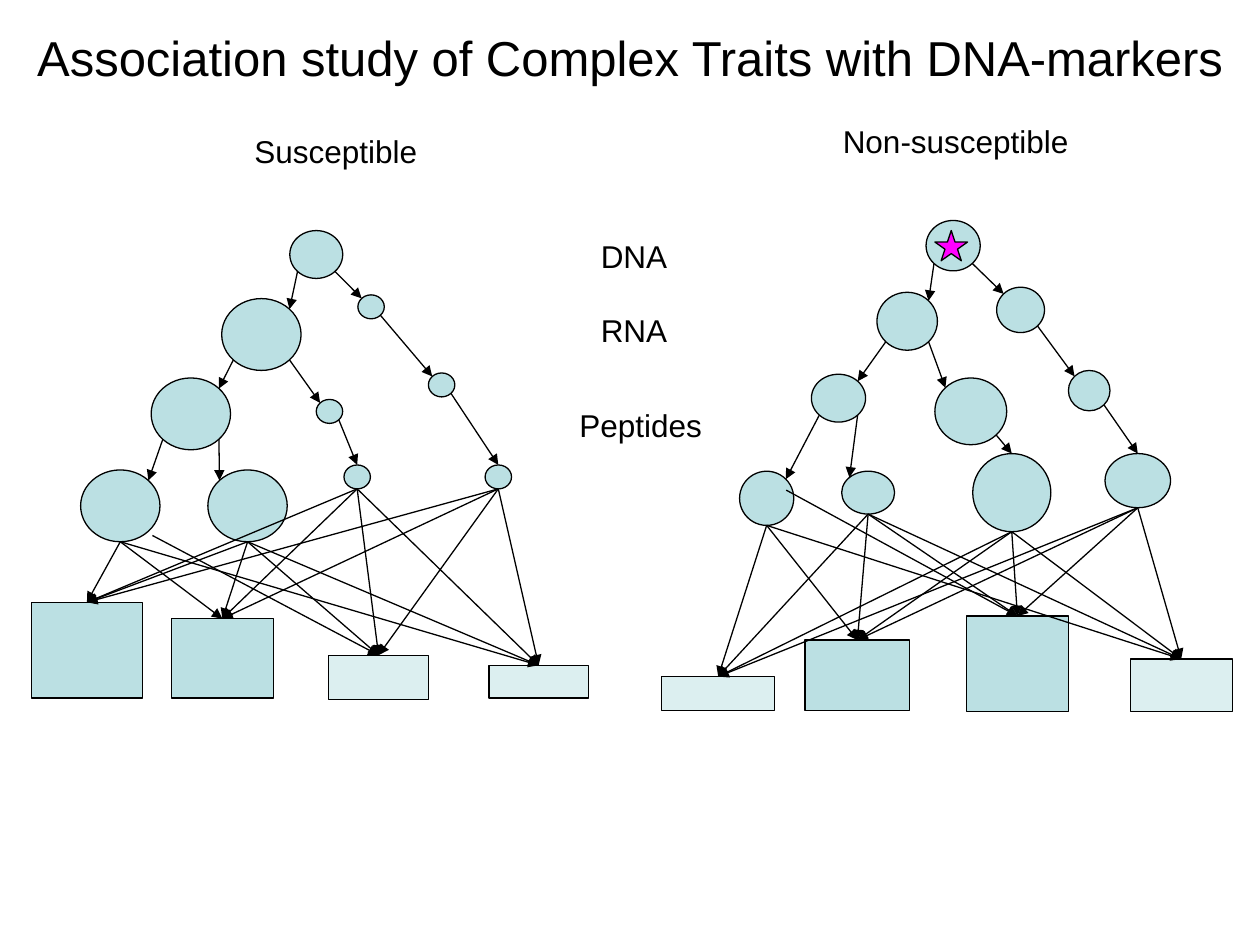
from math import sqrt

from lxml import etree
from pptx import Presentation
from pptx.dml.color import RGBColor
from pptx.enum.shapes import MSO_CONNECTOR as Connector, MSO_SHAPE as Shape
from pptx.enum.text import MSO_AUTO_SIZE as AutoSize, PP_ALIGN as Align
from pptx.oxml.ns import qn
from pptx.util import Inches, Pt

BLACK, TEAL, MAGENTA = "000000", "BBE0E3", "FF00FF"

# Points on an ellipse, as fractions of its width and height
NEAR = (1 - sqrt(0.5)) / 2
FAR = 1 - NEAR
TOP, BOTTOM = (0.5, 0), (0.5, 1)
TOP_LEFT, TOP_RIGHT = (NEAR, NEAR), (FAR, NEAR)
BOTTOM_LEFT, BOTTOM_RIGHT = (NEAR, FAR), (FAR, FAR)

# Tree arrows: parent, its side, child, its side
BRANCHES = [
    (0, BOTTOM_LEFT, 1, TOP_RIGHT), (0, BOTTOM_RIGHT, 2, TOP_LEFT),
    (1, BOTTOM_LEFT, 3, TOP_RIGHT), (1, BOTTOM_RIGHT, 4, TOP_LEFT),
    (3, BOTTOM_LEFT, 6, TOP_RIGHT), (3, BOTTOM_RIGHT, 7, TOP_LEFT),
    (2, BOTTOM_RIGHT, 5, TOP_LEFT), (5, BOTTOM_RIGHT, 9, TOP),
    (4, BOTTOM_RIGHT, 8, TOP),
]

# Nodes and traits: left, top, width, height within the panel
SUSCEPTIBLE = {
    "nodes": [
        (2.05, 0, 0.42, 0.38),
        (1.51, 0.54, 0.63, 0.57), (2.59, 0.51, 0.21, 0.19),
        (0.95, 1.17, 0.63, 0.57), (2.26, 1.34, 0.21, 0.19),
        (3.15, 1.13, 0.21, 0.19),
        (0.39, 1.9, 0.63, 0.57), (1.4, 1.9, 0.63, 0.57),
        (2.48, 1.86, 0.21, 0.19), (3.6, 1.86, 0.21, 0.19),
    ],
    "traits": [(0, 2.95, 0.88, 0.76), (1.11, 3.08, 0.81, 0.63),
               (2.36, 3.37, 0.79, 0.35), (3.63, 3.45, 0.79, 0.26)],
    "pale": (2, 3),
    "offset_start": (0.96, 2.42),
}
NON_SUSCEPTIBLE = {
    "nodes": [
        (2.1, 0, 0.43, 0.4),
        (1.71, 0.57, 0.48, 0.46), (2.66, 0.53, 0.38, 0.36),
        (1.19, 1.22, 0.43, 0.38), (2.17, 1.25, 0.57, 0.53),
        (3.23, 1.19, 0.33, 0.32),
        (0.62, 1.99, 0.43, 0.43), (1.43, 1.99, 0.42, 0.34),
        (2.47, 1.85, 0.62, 0.62), (3.52, 1.85, 0.52, 0.43),
    ],
    "traits": [(0, 3.62, 0.9, 0.27), (1.14, 3.33, 0.83, 0.56),
               (2.42, 3.14, 0.81, 0.76), (3.72, 3.48, 0.81, 0.42)],
    "pale": (0, 3),
    "offset_start": (0.99, 2.14),
    "marker": (2.17, 0.08, 0.26, 0.24),
}


def color(hex_value):
    return RGBColor.from_string(hex_value)


def add_filled(slide, kind, origin, box, fill, opacity=100):
    left, top, width, height = box
    shape = slide.shapes.add_shape(
        kind, Inches(origin[0] + left), Inches(origin[1] + top),
        Inches(width), Inches(height))
    shape.shadow.inherit = False
    shape.fill.solid()
    shape.fill.fore_color.rgb = color(fill)
    shape.line.color.rgb = color(BLACK)
    shape.line.width = Pt(0.75)
    if opacity < 100:
        fill_color = shape.fill._xPr.find(qn("a:solidFill"))[0]
        etree.SubElement(fill_color, qn("a:alpha"), val=str(opacity * 1000))
    return shape


def add_arrow(slide, start, end):
    arrow = slide.shapes.add_connector(Connector.STRAIGHT, *start, *end)
    arrow.line.color.rgb = color(BLACK)
    arrow.line.width = Pt(0.75)
    etree.SubElement(arrow.line._get_or_add_ln(), qn("a:tailEnd"), type="triangle")
    etree.SubElement(arrow._element.spPr, qn("a:effectLst"))
    return arrow


def point_on(shape, side):
    return (round(shape.left + side[0] * shape.width),
            round(shape.top + side[1] * shape.height))


def add_panel(slide, left, top, panel):
    origin = (left, top)
    # Tree from DNA down to peptides
    nodes = [add_filled(slide, Shape.OVAL, origin, box, TEAL)
             for box in panel["nodes"]]
    for parent, parent_side, child, child_side in BRANCHES:
        add_arrow(slide, point_on(nodes[parent], parent_side),
                  point_on(nodes[child], child_side))

    # Traits, weak ones paler
    traits = [add_filled(slide, Shape.RECTANGLE, origin, box, TEAL,
                         50 if index in panel["pale"] else 100)
              for index, box in enumerate(panel["traits"])]

    # Every peptide acts on every trait
    for row, peptide in enumerate(nodes[6:]):
        for column, trait in enumerate(traits):
            start = point_on(peptide, BOTTOM)
            if (row, column) == (0, 2):
                x, y = panel["offset_start"]
                start = (Inches(left + x), Inches(top + y))
            arrow = add_arrow(slide, start, point_on(trait, TOP))
            arrow.end_connect(trait, 0)

    # Mutation marker on the DNA node
    if "marker" in panel:
        add_filled(slide, Shape.STAR_5_POINT, origin, panel["marker"], MAGENTA)


def add_label(slide, text, left, top, width, height=0.4, size=18, align=Align.CENTER):
    box = slide.shapes.add_textbox(
        Inches(left), Inches(top), Inches(width), Inches(height))
    frame = box.text_frame
    frame.word_wrap = True
    frame.auto_size = AutoSize.SHAPE_TO_FIT_TEXT
    paragraph = frame.paragraphs[0]
    paragraph.alignment = align
    run = paragraph.add_run()
    run.text = text
    run.font.name = "Arial"
    run.font.size = Pt(size)
    run.font.color.rgb = color(BLACK)


def add_level_names(slide, left, top):
    for text, x, y, width in [("DNA", 0.17, 0, 1.17), ("RNA", 0.17, 0.59, 1.17),
                              ("Peptides", 0, 1.34, 1.42)]:
        add_label(slide, text, left + x, top + y, width, align=Align.LEFT)


def main():
    presentation = Presentation()
    presentation.slide_width = Inches(10)
    presentation.slide_height = Inches(7.5)
    slide = presentation.slides.add_slide(presentation.slide_layouts[6])

    add_panel(slide, 0.25, 1.83, SUSCEPTIBLE)
    add_panel(slide, 5.25, 1.75, NON_SUSCEPTIBLE)

    # Headings
    add_label(slide, "Susceptible", 1.25, 1, 2.83)
    add_label(slide, "Non-susceptible", 6.17, 0.92, 2.83)
    add_label(slide, "Association study of Complex Traits with DNA-markers",
              0, 0.17, 10, 0.57, size=28)
    add_level_names(slide, 4.5, 1.83)

    presentation.save("out.pptx")


if __name__ == "__main__":
    main()
